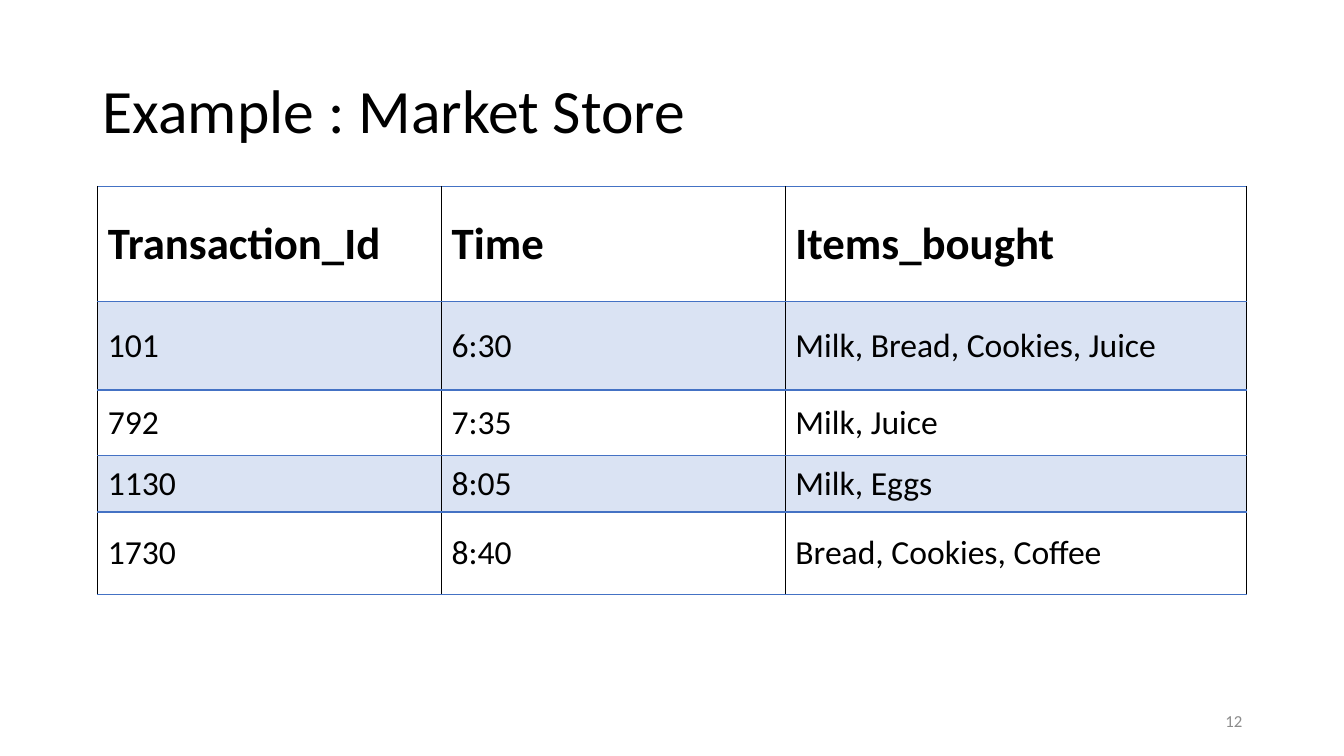
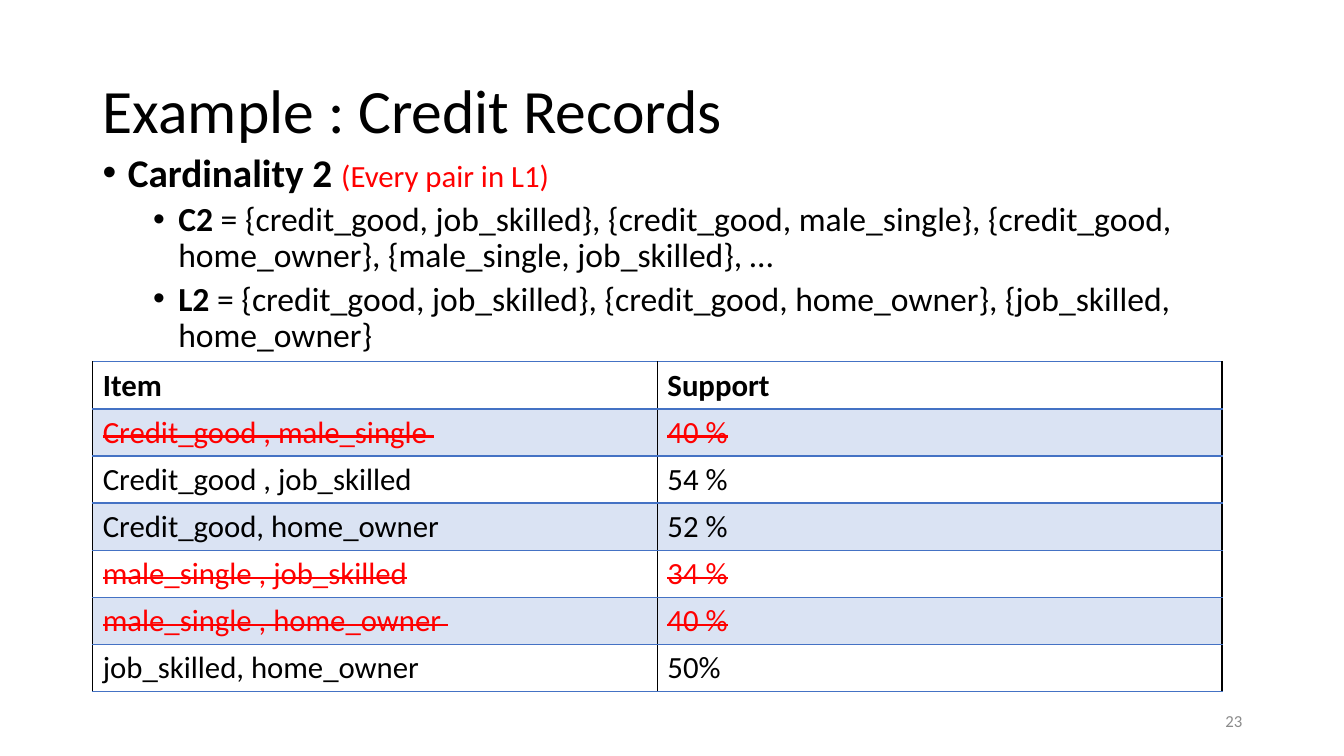
from lxml.etree import SubElement
from pptx import Presentation
from pptx.dml.color import RGBColor
from pptx.enum.text import MSO_ANCHOR as Anchor, PP_ALIGN as Align
from pptx.oxml.ns import qn
from pptx.util import Pt

PX = 9144  # 100 px to the inch
FONT = "Calibri"
COLORS = {"text": "000000", "removed": "FF0000", "rule": "4472C4",
          "band": "DAE3F3", "number": "8B8B8B"}

# Content
MARKET = {
    "title": "Example : Market Store",
    "number": "12",
    "table": {
        "at": (97, 185), "columns": (341, 341, 457), "rows": (114, 88, 65, 56, 82),
        "header_size": 32, "size": 24, "anchor": Anchor.MIDDLE,
        "cells": [
            ("Transaction_Id", "Time", "Items_bought"),
            ("101", "6:30", "Milk, Bread, Cookies, Juice"),
            ("792", "7:35", "Milk, Juice"),
            ("1130", "8:05", "Milk, Eggs"),
            ("1730", "8:40", "Bread, Cookies, Coffee"),
        ],
    },
}
CREDIT = {
    "title": "Example : Credit Records",
    "number": "23",
    "bullets": [
        # level, bold lead, following text, format of the following text
        (0, "Cardinality 2 ", "(Every pair in L1)", {"size": 22, "color": "removed"}),
        (1, "C2", " = {credit_good, job_skilled}, {credit_good, male_single}, "
                  "{credit_good, home_owner}, {male_single, job_skilled}, …", {}),
        (1, "L2", " = {credit_good, job_skilled}, {credit_good, home_owner}, "
                  "{job_skilled, home_owner}", {}),
    ],
    "table": {
        "at": (92, 359), "columns": (560, 560), "rows": (46,) * 7,
        "header_size": 22, "size": 22, "anchor": Anchor.TOP, "removed": {1, 4, 5},
        "cells": [
            ("Item", "Support"),
            ("Credit_good , male_single ", "40 %"),
            ("Credit_good , job_skilled", "54 %"),
            ("Credit_good, home_owner", "52 %"),
            ("male_single , job_skilled", "34 %"),
            ("male_single , home_owner ", "40 %"),
            ("job_skilled, home_owner", "50%"),
        ],
    },
}
# Size, left indent in px and space before, for each bullet level
LEVELS = [(28, 25, 10), (24, 75, 5)]
HANGING = 25


def rgb(name):
    return RGBColor.from_string(COLORS[name])


def add_text(paragraph, text, *, size, color="text", bold=False, strike=False):
    run = paragraph.add_run()
    run.text = text
    run.font.name = FONT
    run.font.size = Pt(size)
    run.font.bold = bold
    run.font.color.rgb = rgb(color)
    if strike:
        run.font._element.set("strike", "sngStrike")


def add_box(slide, left, top, width, height, anchor=Anchor.MIDDLE):
    box = slide.shapes.add_textbox(left * PX, top * PX, width * PX, height * PX)
    frame = box.text_frame
    frame.word_wrap = True
    frame.vertical_anchor = anchor
    return frame


def add_bullets(slide, bullets):
    frame = add_box(slide, 92, 147, 1150, 529, Anchor.TOP)
    for index, (level, lead, rest, style) in enumerate(bullets):
        size, indent, space = LEVELS[level]
        paragraph = frame.add_paragraph() if index else frame.paragraphs[0]
        paragraph.level = level
        paragraph.line_spacing = 0.9
        if index:
            paragraph.space_before = Pt(space)
        properties = paragraph._p.get_or_add_pPr()
        properties.set("marL", str(indent * PX))
        properties.set("indent", str(-HANGING * PX))
        SubElement(SubElement(properties, qn("a:buClr")), qn("a:srgbClr"), val=COLORS["text"])
        SubElement(properties, qn("a:buFont"), typeface="Arial")
        SubElement(properties, qn("a:buChar"), char="•")
        add_text(paragraph, lead, size=size, bold=True)
        add_text(paragraph, rest, **{"size": size, **style})


def add_borders(cell):
    properties = cell._tc.get_or_add_tcPr()
    sides = [("L", "text"), ("R", "text"), ("T", "rule"), ("B", "rule")]
    for position, (side, color) in enumerate(sides):
        line = SubElement(properties, qn(f"a:ln{side}"), w=str(Pt(1)))
        SubElement(SubElement(line, qn("a:solidFill")), qn("a:srgbClr"), val=COLORS[color])
        properties.insert(position, line)  # borders come before the fill


def add_table(slide, data):
    columns, rows = data["columns"], data["rows"]
    left, top = data["at"]
    table = slide.shapes.add_table(len(rows), len(columns), left * PX, top * PX,
                                   sum(columns) * PX, sum(rows) * PX).table
    table.first_row = table.horz_banding = False
    for column, width in zip(table.columns, columns):
        column.width = width * PX
    for row, height in zip(table.rows, rows):
        row.height = height * PX

    for row_index, texts in enumerate(data["cells"]):
        header = row_index == 0
        removed = row_index in data.get("removed", ())
        for column_index, text in enumerate(texts):
            cell = table.cell(row_index, column_index)
            cell.vertical_anchor = data["anchor"]
            if row_index % 2:
                cell.fill.solid()
                cell.fill.fore_color.rgb = rgb("band")
            else:
                cell.fill.background()
            add_borders(cell)
            add_text(cell.text_frame.paragraphs[0], text,
                     size=data["header_size" if header else "size"], bold=header,
                     color="removed" if removed else "text", strike=removed)


def add_slide(presentation, content):
    slide = presentation.slides.add_slide(presentation.slide_layouts[6])
    # Title
    title = add_box(slide, 92, 40, 1150, 145).paragraphs[0]
    title.line_spacing = 0.9
    add_text(title, content["title"], size=44)
    # Body
    if "bullets" in content:
        add_bullets(slide, content["bullets"])
    add_table(slide, content["table"])
    # Slide number
    number = add_box(slide, 942, 695, 300, 40).paragraphs[0]
    number.alignment = Align.RIGHT
    add_text(number, content["number"], size=12, color="number")


def main():
    presentation = Presentation()
    presentation.slide_width = 1333 * PX
    presentation.slide_height = 750 * PX
    for content in (MARKET, CREDIT):
        add_slide(presentation, content)
    presentation.save("out.pptx")


if __name__ == "__main__":
    main()
